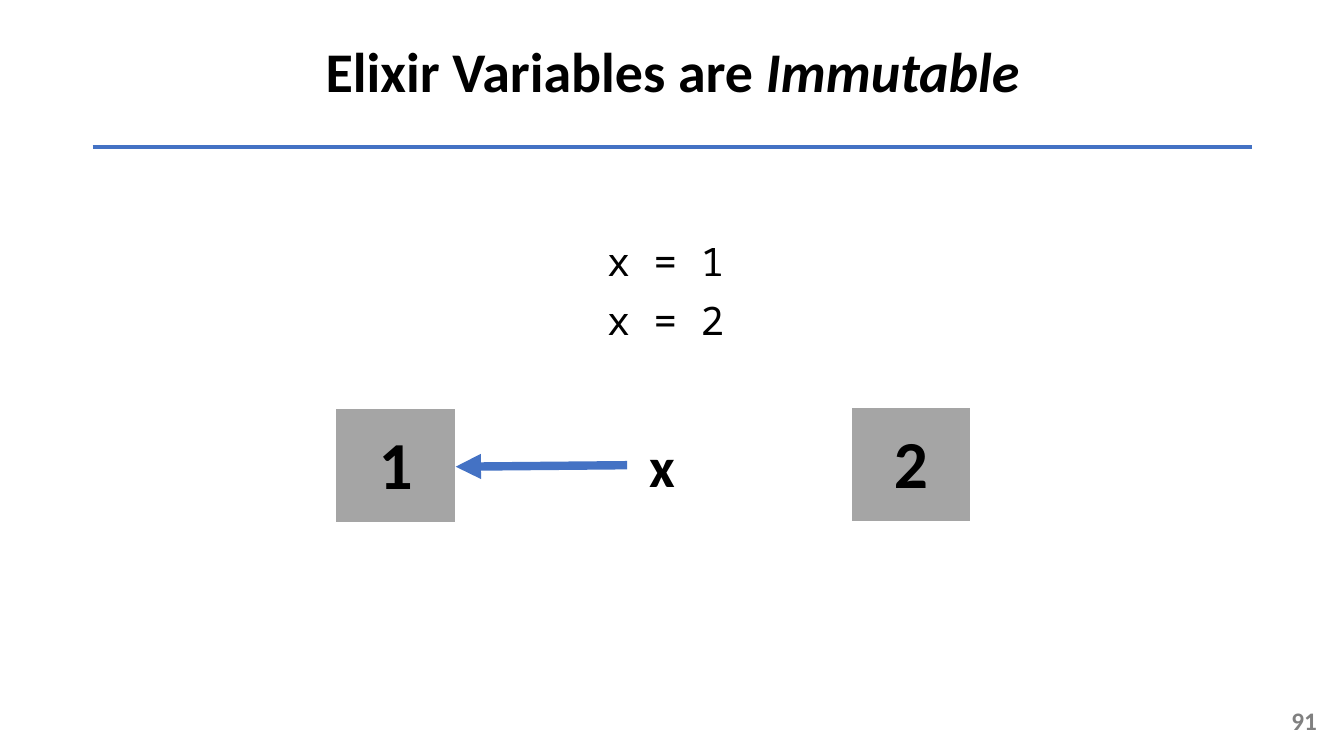
from lxml.etree import SubElement
from pptx import Presentation
from pptx.dml.color import RGBColor
from pptx.enum.shapes import MSO_CONNECTOR
from pptx.enum.text import MSO_ANCHOR, MSO_AUTO_SIZE, PP_ALIGN
from pptx.oxml.ns import qn
from pptx.util import Inches, Pt

BLUE = "4472C4"


def color(target, value):
    target.rgb = RGBColor.from_string(value)


def write(para, text, size=40, font="Calibri", fill="000000", bold=True,
          italic=None, align=PP_ALIGN.CENTER):
    para.alignment = align
    run = para.add_run()
    run.text = text
    run.font.size = Pt(size)
    run.font.name = font
    run.font.bold = bold
    run.font.italic = italic
    color(run.font.color, fill)


deck = Presentation()
deck.slide_width, deck.slide_height = Inches(13.33), Inches(7.5)
slide = deck.slides.add_slide(deck.slide_layouts[5])
shapes = slide.shapes

# Title
title = shapes.title
title.left, title.top = Inches(0.92), Inches(0.01)
title.width, title.height = Inches(11.5), Inches(1.45)
title.text_frame.vertical_anchor = MSO_ANCHOR.MIDDLE
head = title.text_frame.paragraphs[0]
head.line_spacing = 0.9
write(head, "Elixir Variables are ")
write(head, "Immutable", italic=True)

# Value boxes: one-cell tables with white borders
for value, left, top in (("1", 3.33, 4.05), ("2", 8.44, 4.04)):
    frame = shapes.add_table(1, 1, Inches(left), Inches(top),
                             Inches(1.19), Inches(1.15))
    cell = frame.table.cell(0, 0)
    cell.vertical_anchor = MSO_ANCHOR.MIDDLE
    write(cell.text_frame.paragraphs[0], value, size=48)
    props = cell._tc.get_or_add_tcPr()
    for side, width in (("L", 1), ("R", 1), ("T", 1), ("B", 3)):
        edge = SubElement(props, qn("a:ln" + side), w=str(Pt(width)))
        paint = SubElement(edge, qn("a:solidFill"))
        SubElement(paint, qn("a:srgbClr"), val="FFFFFF")
    cell.fill.solid()
    color(cell.fill.fore_color, "A5A5A5")

# Code lines
for row, code in enumerate(("x = 1", "x = 2")):
    box = shapes.add_textbox(Inches(5.92), Inches(2.31 + 0.58 * row),
                             Inches(1.5), Inches(0.57))
    box.text_frame.word_wrap = False
    box.text_frame.auto_size = MSO_AUTO_SIZE.SHAPE_TO_FIT_TEXT
    write(box.text_frame.paragraphs[0], code, size=28, font="Noto Sans Mono",
          bold=False, align=PP_ALIGN.LEFT)

# Variable name
name = shapes.add_textbox(Inches(6.22), Inches(4.23), Inches(0.69), Inches(0.77))
name.text_frame.word_wrap = True
name.text_frame.auto_size = MSO_AUTO_SIZE.SHAPE_TO_FIT_TEXT
write(name.text_frame.paragraphs[0], "x")

# Binding arrow and title rule
arrow = shapes.add_connector(MSO_CONNECTOR.STRAIGHT, Inches(6.22), Inches(4.61),
                             Inches(4.52), Inches(4.63))
arrow.begin_connect(name, 1)
rule = shapes.add_connector(MSO_CONNECTOR.STRAIGHT, Inches(0.92), Inches(1.46),
                            Inches(12.42), Inches(1.46))
for line, width in ((arrow, 6), (rule, 3)):
    line.line.width = Pt(width)
    color(line.line.color, BLUE)
    SubElement(line._element.spPr, qn("a:effectLst"))
SubElement(arrow.line._get_or_add_ln(), qn("a:tailEnd"), type="triangle")

# Page number
page = shapes.add_textbox(Inches(10.16), Inches(6.95), Inches(3), Inches(0.4))
page.text_frame.word_wrap = True
page.text_frame.vertical_anchor = MSO_ANCHOR.MIDDLE
write(page.text_frame.paragraphs[0], "91", size=18, fill="808080",
      align=PP_ALIGN.RIGHT)

deck.save("out.pptx")
